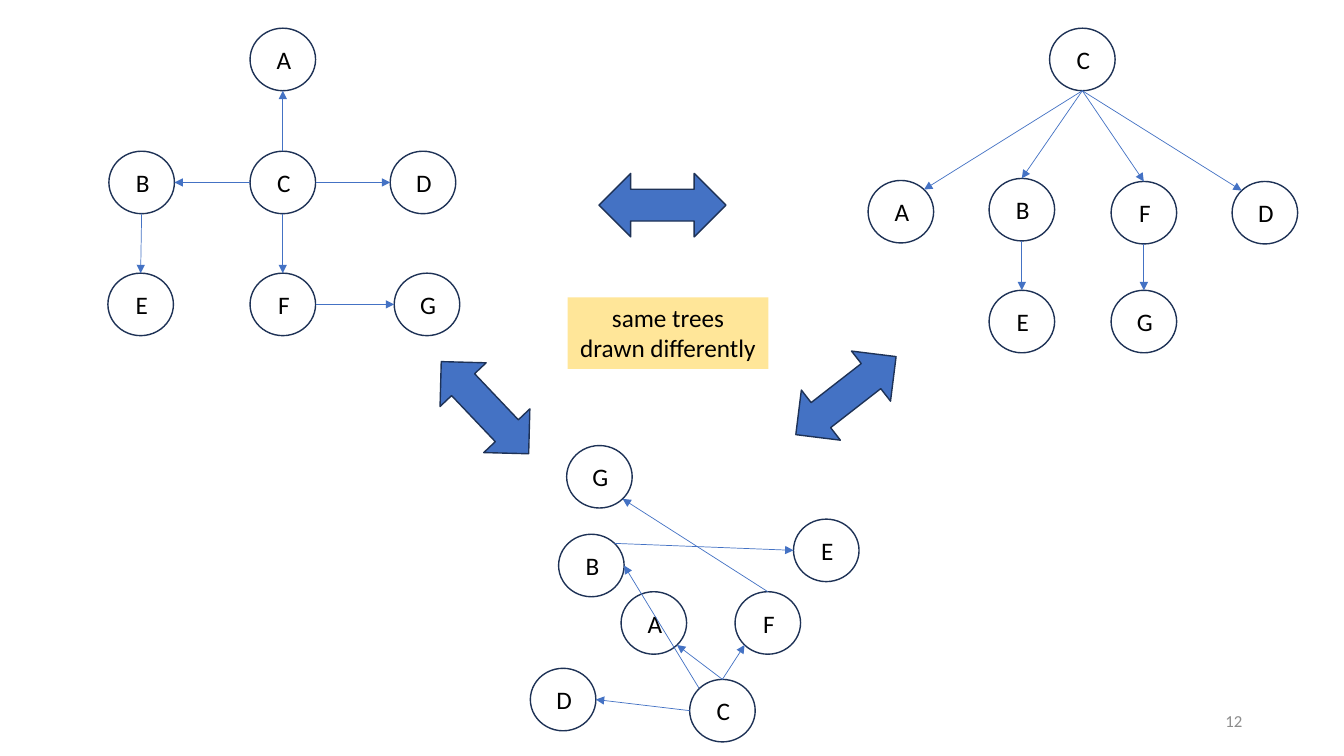
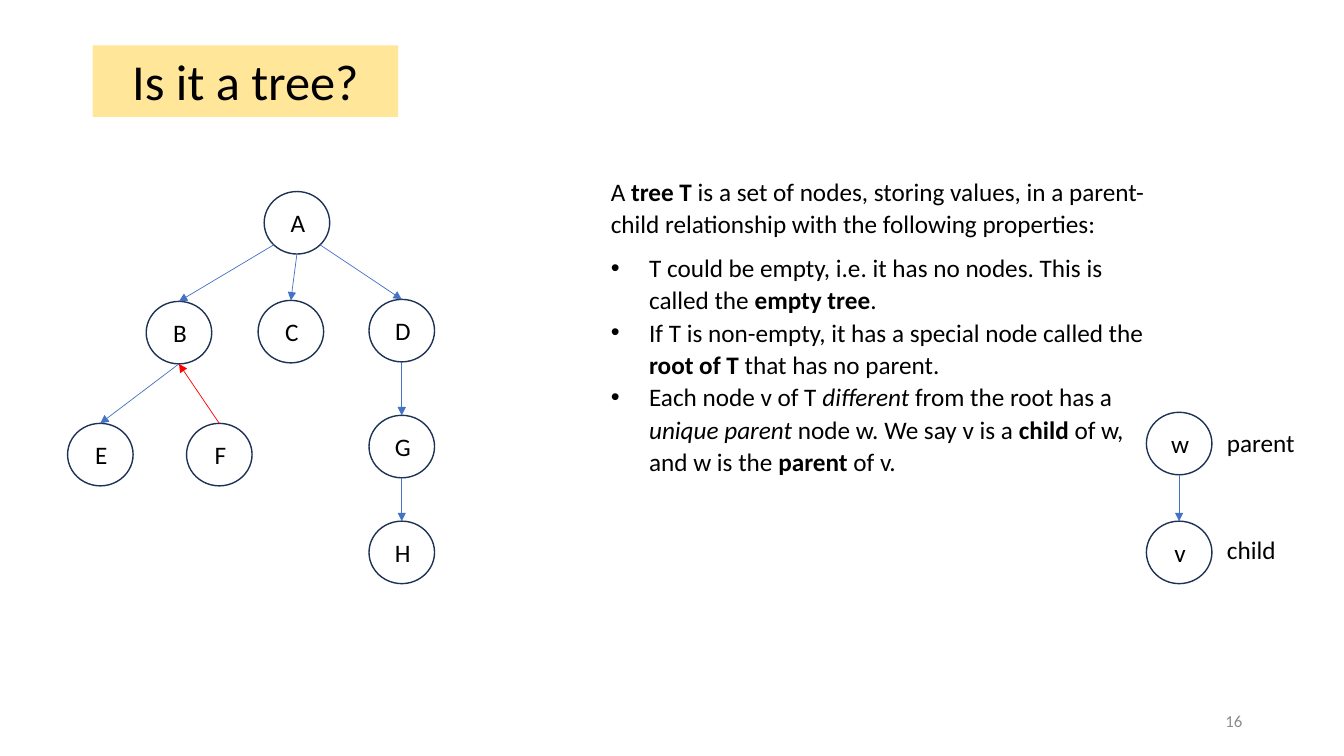
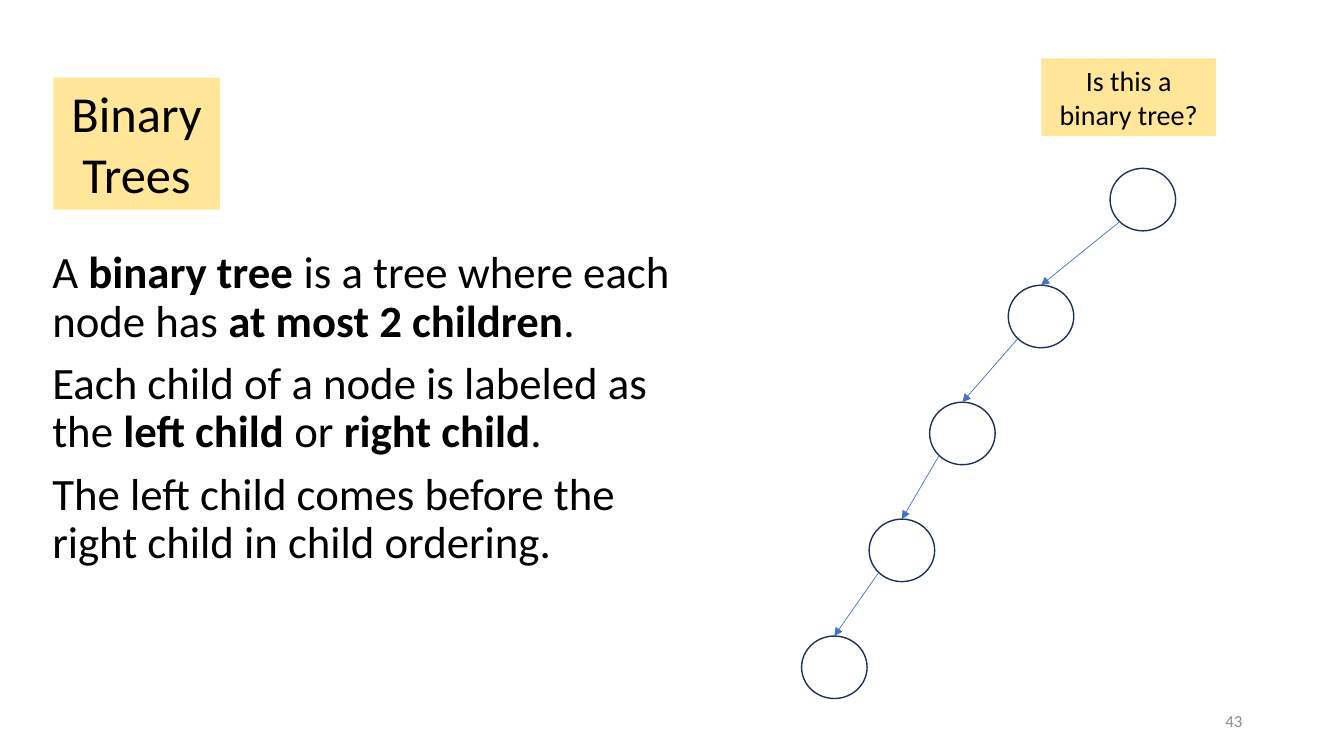
from math import cos, radians, sin

from lxml.etree import SubElement
from pptx import Presentation
from pptx.dml.color import RGBColor
from pptx.enum.shapes import MSO_CONNECTOR, MSO_SHAPE
from pptx.enum.text import MSO_ANCHOR as ANCHOR, PP_ALIGN as ALIGN
from pptx.oxml.ns import qn
from pptx.util import Pt

PX = 9144
FONT = "Calibri"
BLACK = RGBColor(0x00, 0x00, 0x00)
BLUE = RGBColor(0x44, 0x72, 0xC4)
NAVY = RGBColor(0x1E, 0x32, 0x56)
RED = RGBColor(0xFF, 0x00, 0x00)
YELLOW = RGBColor(0xFF, 0xE6, 0x99)
GREY = RGBColor(0x8C, 0x8C, 0x8C)
NODE_W, NODE_H = 65, 62
ANGLES = {"E": 0, "SE": 45, "S": 90, "SW": 135, "W": 180, "NW": 225, "N": 270, "NE": 315}


def px(*lengths):
    """Turn px lengths into EMU."""
    return [round(n * PX) for n in lengths]


def add_run(p, text, size, color=BLACK, style=""):
    """Add one run; style may hold b for bold and i for italic."""
    r = p.add_run()
    r.text = text
    r.font.name, r.font.size = FONT, Pt(size)
    r.font.color.rgb = color
    r.font.bold, r.font.italic = "b" in style, "i" in style


def add_paragraph(tf, index):
    """Return the first paragraph of a frame, or a new one."""
    return tf.add_paragraph() if index else tf.paragraphs[0]


def add_text(s, box, text, size, color=BLACK, align=ALIGN.LEFT, anchor=ANCHOR.TOP, wrap=True):
    """Place a one-paragraph text box."""
    tf = s.shapes.add_textbox(*px(*box)).text_frame
    tf.word_wrap, tf.vertical_anchor = wrap, anchor
    p = tf.paragraphs[0]
    p.alignment = align
    add_run(p, text, size, color)


def add_rich_text(s, box, paragraphs, size, spacing, before=0):
    """Place paragraphs given as (bullet, space after, runs)."""
    tf = s.shapes.add_textbox(*px(*box)).text_frame
    tf.word_wrap = True
    for i, (bullet, after, runs) in enumerate(paragraphs):
        p = add_paragraph(tf, i)
        p.line_spacing = spacing
        p.space_before, p.space_after = Pt(before), Pt(after)
        for text, style in runs:
            add_run(p, text, size, style=style)
        if bullet:
            ppr = p._p.get_or_add_pPr()
            ppr.set("marL", str(38 * PX))
            ppr.set("indent", str(-38 * PX))
            SubElement(ppr, qn("a:buFont")).set("typeface", "Arial")
            SubElement(ppr, qn("a:buChar")).set("char", "•")


def add_banner(s, box, lines, size):
    """Place a yellow box with centred lines."""
    sp = s.shapes.add_shape(MSO_SHAPE.RECTANGLE, *px(*box))
    sp.shadow.inherit = False
    sp.fill.solid()
    sp.fill.fore_color.rgb = YELLOW
    sp.line.fill.background()
    tf = sp.text_frame
    tf.word_wrap, tf.vertical_anchor = True, ANCHOR.TOP
    for i, text in enumerate(lines):
        p = add_paragraph(tf, i)
        p.alignment = ALIGN.CENTER
        add_run(p, text, size)


def add_double_arrow(s, left, top, rotation):
    """Place a rotated double-headed block arrow."""
    sp = s.shapes.add_shape(MSO_SHAPE.LEFT_RIGHT_ARROW, *px(left, top, 126, 63))
    sp.shadow.inherit = False
    sp.rotation = rotation
    sp.fill.solid()
    sp.fill.fore_color.rgb = BLUE
    sp.line.color.rgb, sp.line.width = NAVY, Pt(1)


def add_node(s, left, top, label):
    """Place a round node with its label."""
    sp = s.shapes.add_shape(MSO_SHAPE.OVAL, *px(left, top, NODE_W, NODE_H))
    sp.shadow.inherit = False
    sp.fill.background()
    sp.line.color.rgb, sp.line.width = NAVY, Pt(1)
    if label:
        tf = sp.text_frame
        tf.word_wrap, tf.vertical_anchor = False, ANCHOR.MIDDLE
        tf.margin_left, tf.margin_right, tf.margin_top, tf.margin_bottom = px(2, 0, 0, 0)
        p = tf.paragraphs[0]
        p.alignment = ALIGN.CENTER
        add_run(p, label, 18)


def rim_point(left, top, side):
    """Return the point on a node's rim at a compass side."""
    a = radians(ANGLES[side])
    return px(left + NODE_W / 2 * (1 + cos(a)), top + NODE_H / 2 * (1 + sin(a)))


def add_edge(s, start, end, color):
    """Draw a thin arrow between two EMU points."""
    c = s.shapes.add_connector(MSO_CONNECTOR.STRAIGHT, *start, *end)
    c.line.color.rgb, c.line.width = color, Pt(0.5)
    sppr = c.element.spPr
    SubElement(sppr.find(qn("a:ln")), qn("a:tailEnd")).set("type", "triangle")
    SubElement(sppr, qn("a:effectLst"))


def add_tree(s, origin, nodes, edges, labelled=True, red=()):
    """Draw nodes relative to an origin; an edge reads 'from side to side'."""
    x, y = origin
    spots = {name: (x + dx, y + dy) for name, (dx, dy) in nodes.items()}
    for name, spot in spots.items():
        add_node(s, *spot, name if labelled else "")
    for edge in edges:
        a, a_side, b, b_side = edge.split()
        add_edge(s, rim_point(*spots[a], a_side), rim_point(*spots[b], b_side),
                 RED if edge in red else BLUE)


def add_parent_child(s, origin):
    """Draw the parent and child pair with its captions."""
    x, y = origin
    add_tree(s, origin, {"w": (0, 0), "v": (0, 108)}, ["w S v N"])
    add_text(s, (x + 70, y + 10, 88, 40), "parent", 18, wrap=False)
    add_text(s, (x + 70, y + 116, 69, 40), "child", 18, wrap=False)


def add_slide(prs, number):
    """Add a blank slide with its page number."""
    s = prs.slides.add_slide(prs.slide_layouts[6])
    add_text(s, (942, 695, 300, 40), str(number), 12, GREY, ALIGN.RIGHT, ANCHOR.MIDDLE)
    return s


def same_trees_slide(prs):
    """Build the slide with one tree drawn three ways."""
    s = add_slide(prs, 12)
    add_tree(s, (107, 28),
             {"A": (141, 0), "B": (1, 122), "C": (141, 122), "D": (280, 122),
              "E": (0, 243), "F": (141, 243), "G": (284, 243)},
             ["C W B E", "C S F N", "C E D W", "C N A S", "F E G W", "B S E N"])
    add_tree(s, (861, 28),
             {"C": (180, 0), "A": (0, 151), "B": (120, 149), "F": (241, 152),
              "D": (361, 152), "E": (120, 260), "G": (241, 260)},
             ["C S A NE", "C S B N", "C S F N", "C S D NW", "B S E N", "F S G N"])
    add_tree(s, (526, 442),
             {"G": (36, 0), "E": (261, 73), "B": (28, 88), "A": (90, 145),
              "F": (203, 145), "D": (0, 221), "C": (158, 232)},
             ["C NW B E", "C N F SW", "C W D E", "C N A SE", "F N G SE", "B NE E W"])
    add_banner(s, (563, 295, 199, 71), ["same trees", "drawn differently"], 18)
    for arrow in ((418, 373, 46.5), (776, 361, 142.1), (594, 172, 180)):
        add_double_arrow(s, *arrow)


def is_tree_slide(prs):
    """Build the slide that defines a tree."""
    s = add_slide(prs, 16)
    add_banner(s, (92, 45, 303, 71), ["Is it a tree?"], 36)
    add_tree(s, (67, 190),
             {"A": (195, 0), "B": (78, 109), "C": (189, 108), "D": (299, 107),
              "G": (299, 222), "E": (0, 230), "F": (118, 230), "H": (299, 327)},
             ["A SW B N", "A S C N", "A SE D N", "B S E N", "F N B S", "D S G N", "G S H N"],
             red=["F N B S"])
    add_rich_text(s, (596, 168, 563, 312), [
        (False, 8, [("A ", ""), ("tree T", "b"),
                    (" is a set of nodes, storing values, in a parent-child relationship "
                     "with the following properties:", "")]),
        (True, 0, [("T could be empty, i.e. it has no nodes. This is called the ", ""),
                   ("empty tree", "b"), (".", "")]),
        (True, 0, [("If T is non-empty, it has a special node called the ", ""),
                   ("root of T", "b"), (" that has no parent.", "")]),
        (True, 8, [("Each node v of T ", ""), ("different", "i"),
                   (" from the root has a ", ""), ("unique parent", "i"),
                   (" node w. We say v is a ", ""), ("child", "b"),
                   (" of w, and w is the ", ""), ("parent", "b"), (" of v.", "")]),
    ], 18, 1.07)
    add_parent_child(s, (1137, 409))


def binary_trees_slide(prs):
    """Build the slide that defines binary trees."""
    s = add_slide(prs, 43)
    add_banner(s, (53, 77, 165, 131), ["Binary Trees"], 36)
    add_banner(s, (1033, 58, 173, 77), ["Is this a binary tree?"], 20)
    chain = {str(i): (x, 116 * i) for i, x in enumerate((306, 205, 127, 67, 0))}
    add_tree(s, (795, 167), chain, [f"{i} SW {i + 1} N" for i in range(len(chain) - 1)],
             labelled=False)
    add_rich_text(s, (42, 243, 659, 379), [
        (False, 0, [("A ", ""), ("binary tree ", "b"), ("is a tree where each node has ", ""),
                    ("at most 2 children", "b"), (".", "")]),
        (False, 0, [("Each child of a node is labeled as the ", ""), ("left child ", "b"),
                    ("or ", ""), ("right child", "b"), (".", "")]),
        (False, 0, [("The left child comes before the right child in child ordering.", "")]),
    ], 32, 0.9, before=10)


def main():
    """Build and save the presentation."""
    prs = Presentation()
    prs.slide_width, prs.slide_height = px(1333, 750)
    same_trees_slide(prs)
    is_tree_slide(prs)
    binary_trees_slide(prs)
    prs.save("out.pptx")


if __name__ == "__main__":
    main()
